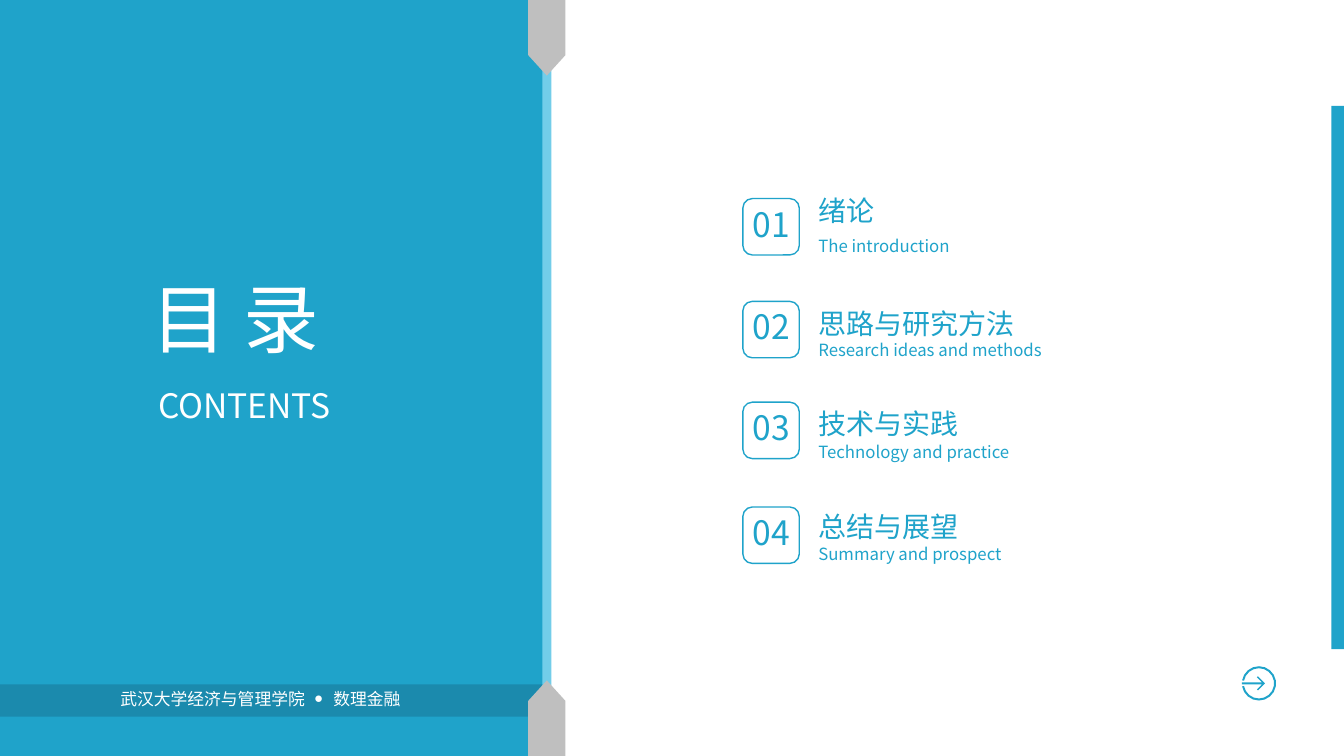
"""Builds a contents slide with a blue title panel and four numbered chapters."""
from dataclasses import dataclass
from math import cos, radians, sin

from lxml import etree
from pptx import Presentation
from pptx.dml.color import RGBColor
from pptx.enum.shapes import MSO_SHAPE
from pptx.enum.text import MSO_ANCHOR, MSO_AUTO_SIZE, PP_ALIGN
from pptx.oxml.ns import qn
from pptx.util import Pt

PX = 9144
RECTANGLE = MSO_SHAPE.RECTANGLE
ROUNDED = MSO_SHAPE.ROUNDED_RECTANGLE
PENTAGON = MSO_SHAPE.PENTAGON
LEFT, CENTER, JUSTIFY = PP_ALIGN.LEFT, PP_ALIGN.CENTER, PP_ALIGN.JUSTIFY
TOP, MIDDLE = MSO_ANCHOR.TOP, MSO_ANCHOR.MIDDLE
FIT_TEXT = MSO_AUTO_SIZE.SHAPE_TO_FIT_TEXT


@dataclass
class Theme:
    font: str = "Noto Sans CJK SC"
    bullet_font: str = "Arial"
    blue: RGBColor = RGBColor(0x1F, 0xA3, 0xCA)
    light_blue: RGBColor = RGBColor(0x73, 0xCD, 0xE9)
    dark_blue: RGBColor = RGBColor(0x1B, 0x8A, 0xAD)
    gray: RGBColor = RGBColor(0xBF, 0xBF, 0xBF)
    white: RGBColor = RGBColor(0xFF, 0xFF, 0xFF)
    heading: int = 54
    number: int = 24
    chapter: int = 20
    small: int = 12


theme = Theme()
presentation = Presentation()
presentation.slide_width = 4000 * PX // 3
presentation.slide_height = 750 * PX
slide = presentation.slides.add_slide(presentation.slide_layouts[6])
canvas = slide.shapes


def add_block(shapes, kind, frame, fill=None, line=None):
    shape = shapes.add_shape(kind, *(length * PX for length in frame))
    shape.shadow.inherit = False
    if fill is None:
        shape.fill.background()
    else:
        shape.fill.solid()
        shape.fill.fore_color.rgb = fill
    if line is None:
        shape.line.fill.background()
    else:
        shape.line.color.rgb = line
        shape.line.width = Pt(1)
    return shape


def add_text(shapes, frame, text, size, color, align=LEFT, spacing=None, kind=None):
    if kind is None:
        shape = shapes.add_textbox(*(length * PX for length in frame))
    else:
        shape = add_block(shapes, kind, frame)
    text_frame = shape.text_frame
    text_frame.word_wrap = True
    text_frame.auto_size = FIT_TEXT
    text_frame.vertical_anchor = TOP if kind is None else MIDDLE
    paragraph = text_frame.paragraphs[0]
    paragraph.alignment = align
    paragraph.line_spacing = spacing
    run = paragraph.add_run()
    run.text = text
    run.font.size = Pt(size)
    run.font.color.rgb = color
    run.font.name = theme.font
    east_asian = etree.SubElement(run.font._element, qn("a:ea"))
    east_asian.set("typeface", theme.font)
    return paragraph


add_block(canvas, RECTANGLE, (62, 0, 485, 750), theme.light_blue)
add_block(canvas, RECTANGLE, (0, 0, 538, 750), theme.blue)
add_block(canvas, RECTANGLE, (1321, 105, 13, 539), theme.blue)

icon_x, icon_y = 1249, 678
outer_arc = [(17, angle) for angle in range(190, 531, 20)]
inner_arc = [(15, angle) for angle in range(530, 189, -20)]
ring = [(radius * cos(radians(angle)), radius * sin(radians(angle)))
        for radius, angle in outer_arc + inner_arc]
arrow = [(-17, -1), (3, -1), (-2, -6), (-1, -7), (6, 0),
         (-1, 7), (-2, 6), (3, 1), (-17, 1)]
ring_points, arrow_points = (
    [(round((icon_x + x) * 10), round((icon_y + y) * 10)) for x, y in outline]
    for outline in (ring, arrow))
builder = canvas.build_freeform(*ring_points[0], scale=PX / 10)
builder.add_line_segments(ring_points[1:], close=True)
builder.move_to(*arrow_points[0])
builder.add_line_segments(arrow_points[1:], close=True)
next_icon = builder.convert_to_shape()
next_icon.shadow.inherit = False
next_icon.fill.solid()
next_icon.fill.fore_color.rgb = theme.blue
next_icon.line.fill.background()

add_block(canvas, RECTANGLE, (0, 679, 538, 32), theme.dark_blue)
for top, rotation in ((19, 90), (694, 270)):
    clasp = add_block(canvas, PENTAGON, (505, top, 75, 37), theme.gray)
    clasp.rotation = rotation
    clasp.adjustments[0] = 0.55

footer = canvas.add_group_shape().shapes
add_text(footer, (92, 676, 238, 34), "武汉大学经济与管理学院", theme.small,
         theme.white, CENTER, kind=ROUNDED)
major = add_text(footer, (287, 676, 135, 34), "数理金融", theme.small,
                 theme.white, CENTER, kind=ROUNDED)
properties = major._p.get_or_add_pPr()
properties.set("marL", str(19 * PX))
properties.set("indent", str(-19 * PX))
etree.SubElement(properties, qn("a:buSzPct")).set("val", "90000")
etree.SubElement(properties, qn("a:buFont")).set("typeface", theme.bullet_font)
etree.SubElement(properties, qn("a:buChar")).set("char", "●")

chapters = [
    (197, (187, 358, 44), None, "绪论", (229, 372), "The introduction"),
    (299, (274, 338, 59), 1.75, "思路与研究方法", (332, 310),
     "Research ideas and methods"),
    (399, (373, 416, 59), 1.75, "技术与实践", (433, 402), "Technology and practice"),
    (503, (476, 386, 59), 1.75, "总结与展望", (535, 293), "Summary and prospect"),
]
for index, chapter in enumerate(chapters, start=1):
    top, title_frame, spacing, title, (subtitle_top, subtitle_width), subtitle = chapter
    entry = canvas.add_group_shape().shapes
    add_text(entry, (802, *title_frame), title, theme.chapter, theme.blue,
             spacing=spacing)
    add_text(entry, (802, subtitle_top, subtitle_width, 30), subtitle, theme.small,
             theme.blue)
    add_block(entry, ROUNDED, (737, top, 56, 56), line=theme.blue)
    add_text(entry, (725, top, 80, 50), f"{index:02}", theme.number, theme.blue,
             CENTER)

add_text(canvas, (147, 377, 217, 50), "CONTENTS", theme.number, theme.white, JUSTIFY)
add_text(canvas, (140, 265, 238, 101), "目 录", theme.heading, theme.white, JUSTIFY)

presentation.save("out.pptx")
